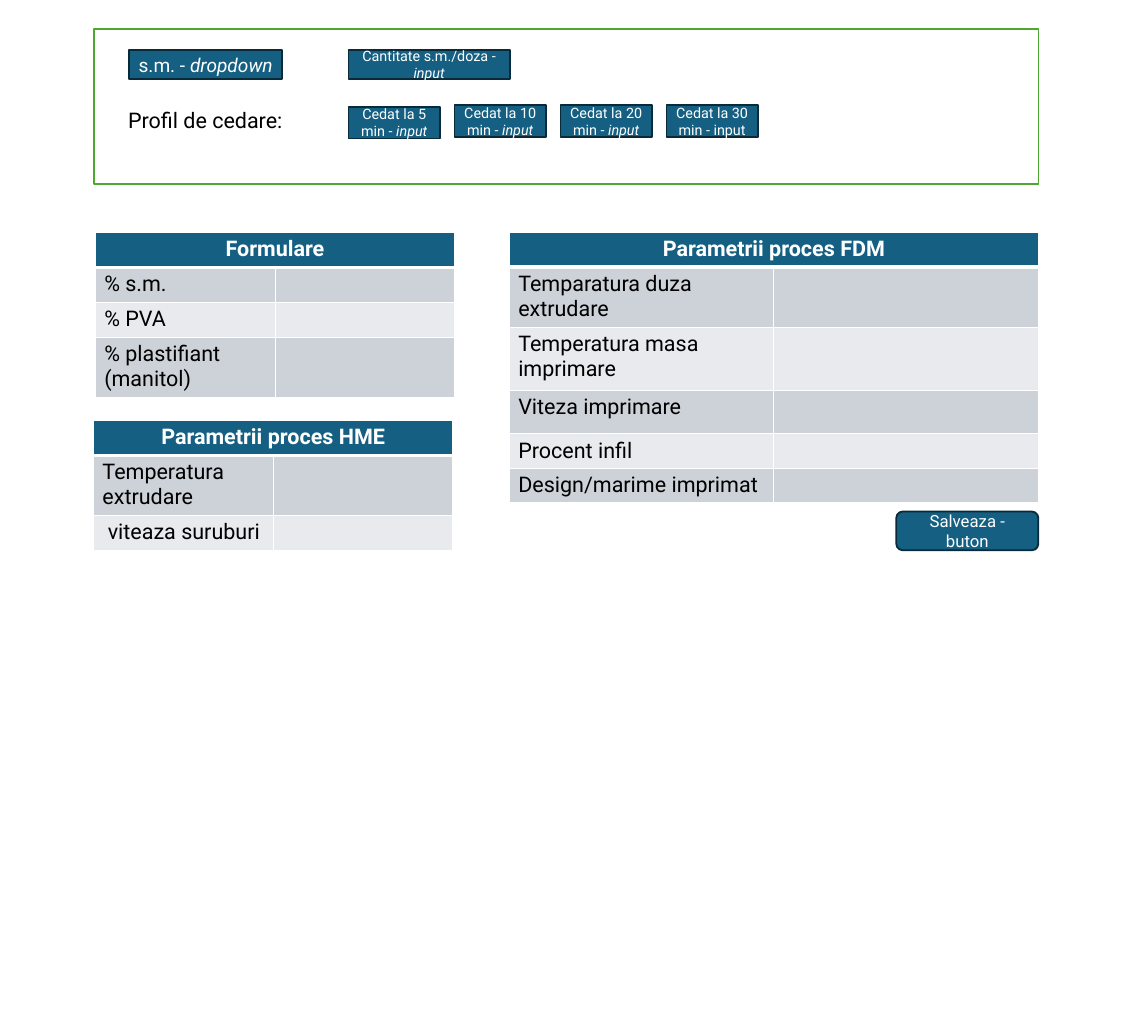
import pptx
import pptx.util
import pptx.dml.color
import pptx.enum.shapes
import pptx.enum.text
import pptx.oxml
import pptx.oxml.ns

Pt = pptx.util.Pt
SHAPES = pptx.enum.shapes.MSO_SHAPE
CENTER = pptx.enum.text.PP_ALIGN.CENTER
FONT = "Roboto"
COLORS = {"white": "FFFFFF", "black": "000000", "blue": "156082", "navy": "092A39",
          "green": "4EA72E", "dark_band": "CCD2D8", "light_band": "E8EAED"}


def color(name):
    """Return the named colour."""
    return pptx.dml.color.RGBColor.from_string(COLORS[name])


def style_span(span, size, ink, bold=False, italic=False):
    """Format one run of text."""
    span.font.name, span.font.size = FONT, Pt(size)
    span.font.bold, span.font.italic = bold, italic
    span.font.color.rgb = color(ink)


def add_box(page, left, top, width, height, fill="blue", line="navy", kind=SHAPES.RECTANGLE):
    """Draw a filled and outlined box."""
    box = page.shapes.add_shape(kind, Pt(left), Pt(top), Pt(width), Pt(height))
    box.shadow.inherit = False
    box.fill.solid()
    box.fill.fore_color.rgb = color(fill)
    box.line.color.rgb = color(line)
    box.line.width = Pt(1.5)
    return box


def add_control(page, left, top, width, height, label, size, hint="", kind=SHAPES.RECTANGLE):
    """Draw a form control with a label and an italic hint."""
    box = add_box(page, left, top, width, height, kind=kind)
    box.text_frame.word_wrap = True
    box.text_frame.vertical_anchor = pptx.enum.text.MSO_ANCHOR.MIDDLE
    para = box.text_frame.paragraphs[0]
    para.alignment = CENTER
    for words, italic in ((label, False), (hint, True)):
        if words:
            span = para.add_run()
            span.text = words
            style_span(span, size, "white", italic=italic)


def add_substance_panel(page, left, top, width, height):
    """Draw the framed panel of substance inputs and release profile."""
    add_box(page, left, top, width, height, "white", "green")
    inputs = left + 213
    add_control(page, left + 29.5, top + 18, 128, 24, "s.m. - ", 16, "dropdown")
    add_control(page, inputs, top + 18, 134.8, 24, "Cantitate s.m./doza - ", 12, "input")

    caption = page.shapes.add_textbox(Pt(left + 21.5), Pt(top + 62), Pt(144), Pt(29))
    caption.text_frame.word_wrap = True
    caption.text_frame.text = "Profil de cedare:"
    style_span(caption.text_frame.paragraphs[0].runs[0], 18, "black")

    releases = [("Cedat la 5 min - ", "input", 65.3), ("Cedat la 10 min - ", "input", 64),
                ("Cedat la 20 min - ", "input", 64), ("Cedat la 30 min - input", "", 64)]
    for index, (label, hint, drop) in enumerate(releases):
        add_control(page, inputs + index * 88.6, top + drop, 76.4, 26.6, label, 12, hint)


def set_borders(cell, top, bottom):
    """Give a cell white borders with the given top and bottom widths."""
    properties = cell._tc.get_or_add_tcPr()
    for side, width in (("L", 1), ("R", 1), ("T", top), ("B", bottom)):
        properties.append(pptx.oxml.parse_xml(
            f'<a:ln{side} {pptx.oxml.ns.nsdecls("a")} w="{Pt(width)}"><a:solidFill>'
            f'<a:srgbClr val="{COLORS["white"]}"/></a:solidFill></a:ln{side}>'))


def add_parameter_table(page, left, top, width, title, title_height, parameters):
    """Draw a titled table of parameter names with empty value cells."""
    rows = [(title, title_height)] + parameters
    frame = page.shapes.add_table(len(rows), 2, Pt(left), Pt(top), Pt(width),
                                  Pt(sum(height for _, height in rows)))
    table = frame.table
    for column in table.columns:
        column.width = Pt(width / 2)
    for index, (label, height) in enumerate(rows):
        table.rows[index].height = Pt(height)
        band = "blue" if index == 0 else "dark_band" if index % 2 else "light_band"
        for cell in table.rows[index].cells:
            set_borders(cell, 3 if index == 1 else 1, 3 if index == 0 else 1)
            cell.fill.solid()
            cell.fill.fore_color.rgb = color(band)
        name = table.cell(index, 0)
        name.text_frame.text = label
        style_span(name.text_frame.paragraphs[0].runs[0], 18,
                   "black" if index else "white", bold=index == 0)
    table.cell(0, 0).merge(table.cell(0, 1))
    table.cell(0, 0).text_frame.paragraphs[0].alignment = CENTER


def main():
    """Build the form page and save it."""
    deck = pptx.Presentation()
    deck.slide_width, deck.slide_height = Pt(960), Pt(852)
    page = deck.slides.add_slide(deck.slide_layouts[6])
    add_substance_panel(page, 78.5, 24, 790, 129.6)
    add_parameter_table(page, 80, 194.4, 300, "Formulare", 29.2, [
        ("% s.m.", 29.2), ("% PVA", 29.2), ("% plastifiant (manitol)", 50.4)])
    add_parameter_table(page, 78.5, 351.4, 300, "Parametrii proces HME", 29.2, [
        ("Temperatura extrudare", 50.4), (" viteaza suruburi", 29.2)])
    add_parameter_table(page, 426.2, 194.4, 442, "Parametrii proces FDM", 28.8, [
        ("Temparatura duza extrudare", 50.4), ("Temperatura masa imprimare", 52.6),
        ("Viteza imprimare", 36.5), ("Procent infil", 28.8), ("Design/marime imprimat", 28.8)])
    add_control(page, 749.5, 427.7, 118.8, 32.4, "Salveaza - buton", 14,
                kind=SHAPES.ROUNDED_RECTANGLE)
    deck.save("out.pptx")


if __name__ == "__main__":
    main()
